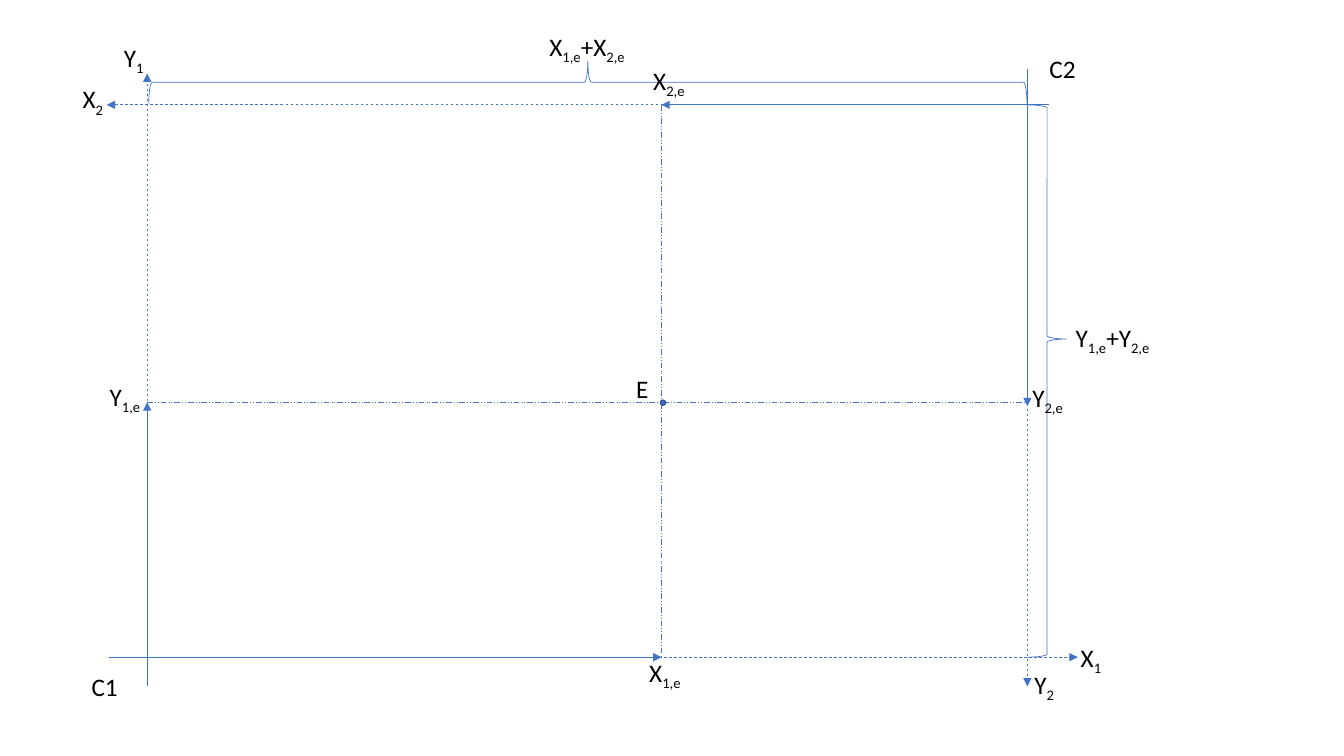
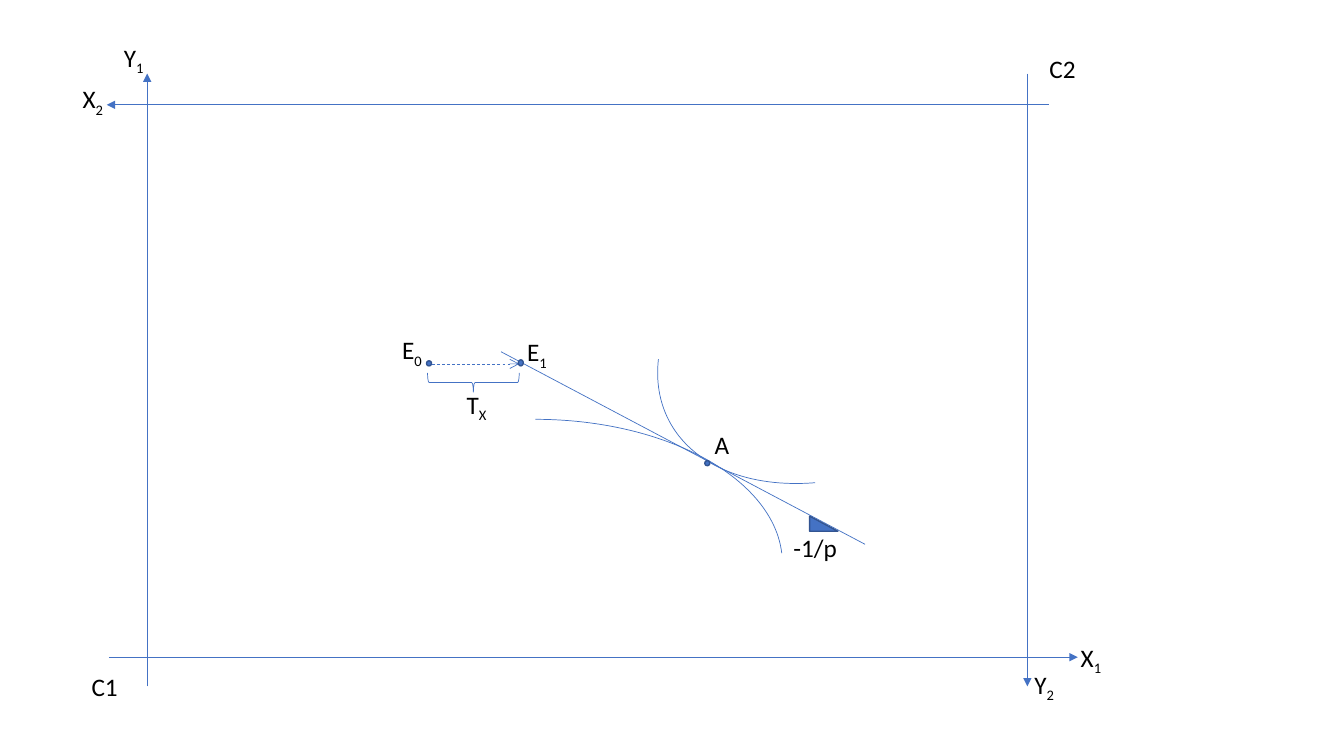
from pptx import Presentation, util as u
from pptx.dml.color import RGBColor
from pptx.enum import dml, shapes, text
from pptx.oxml.ns import qn
from lxml import etree

COLOURS = {"line": "4472C4", "edge": "325491", "text": "000000"}
FONT, SIZE, LABEL_HEIGHT, DOT = "Calibri", 18, 0.4, 0.05
KIND = shapes.MSO_SHAPE
DASH = dml.MSO_LINE.DASH
DOTTED = dml.MSO_LINE.DASH_DOT_DOT

# Columns and rows of the box, and the point E inside it
LEFT, RIGHT, TOP, BOTTOM = 1.46, 10.19, 1.04, 6.52
E_COL, E_ROW = 6.56, 3.99

# Axes: start, end
AXES = [
    ((LEFT, 6.81), (LEFT, 0.73)),
    ((1.08, BOTTOM), (10.69, BOTTOM)),
    ((10.4, TOP), (1.06, TOP)),
    ((RIGHT, 0.73), (RIGHT, 6.81)),
]
# Labels: text with subscripts after every other bar, left, top, width
AXIS_LABELS = [
    ("C2", 10.31, 0.48, 0.46), ("C1", 0.81, 6.61, 0.46),
    ("X|1", 10.62, 6.32, 0.42), ("X|2", 0.72, 0.78, 0.42),
    ("Y|2", 10.16, 6.59, 0.41), ("Y|1", 1.13, 0.37, 0.42),
]

# Lines: start, end, dash, arrowhead
# Outlines and solids: kind, left, top, width, height, turn, adjustments
PAGES = [
    {
        "axis_dash": DASH,
        "outlines": [
            (KIND.RIGHT_BRACE, RIGHT, TOP, 0.39, BOTTOM - TOP, 0, (0.083, 0.424)),
            (KIND.LEFT_BRACE, 5.62, -3.54, 0.42, 8.71, 90, ()),
        ],
        "lines": [
            ((10.4, TOP), (E_COL, TOP), None, "triangle"),
            ((1.08, BOTTOM), (E_COL, BOTTOM), None, "triangle"),
            ((RIGHT, 0.68), (RIGHT, 4.03), None, "triangle"),
            ((LEFT, 6.79), (LEFT, E_ROW), None, "triangle"),
            ((LEFT, E_ROW), (RIGHT, E_ROW), DOTTED, None),
            ((E_COL, TOP), (E_COL, BOTTOM), DOTTED, None),
        ],
        "solids": [(KIND.OVAL, 6.55, 3.97, DOT, DOT, 0, ())],
        "labels": [
            ("E", 6.21, 3.65, 0.32),
            ("X|2,e", 6.38, 0.6, 0.55), ("X|1,e", 6.34, 6.47, 0.55),
            ("Y|1,e", 0.99, 3.73, 0.54), ("Y|2,e", 10.14, 3.74, 0.54),
        ],
        "sums": [
            ("Y|1,e|+Y|2,e", 10.57, 3.15, 1.08),
            ("X|1,e|+X|2,e", 5.35, 0.26, 1.08),
        ],
    },
    {
        "axis_dash": None,
        "outlines": [
            (KIND.ARC, 2.86, 4.16, 4.9, 2.85, 0, (162, 214.643)),
            (KIND.ARC, 6.4, 1.78, 4.22, 2.85, 152.9, (187.265, 10.106)),
            (KIND.LEFT_BRACE, 4.6, 3.34, 0.19, 0.91, 270, ()),
        ],
        "lines": [
            ((4.97, 3.49), (8.58, 5.4), None, None),
            ((4.24, 3.61), (5.15, 3.61), DASH, "arrow"),
        ],
        "solids": [
            (KIND.OVAL, 6.99, 4.57, DOT, DOT, 0, ()),
            (KIND.OVAL, 5.14, 3.57, DOT, 0.06, 0, ()),
            (KIND.OVAL, 4.23, 3.58, DOT, DOT, 0, ()),
            (KIND.RIGHT_TRIANGLE, 8.03, 5.12, 0.28, 0.15, 0, ()),
        ],
        "labels": [
            ("A", 6.99, 4.21, 0.35), ("E|1", 5.13, 3.29, 0.41),
            ("-1/p", 7.77, 5.23, 0.64), ("E|0", 3.89, 3.27, 0.41),
            ("T|X", 4.53, 3.81, 0.41),
        ],
        "sums": [],
    },
]


def inches(*lengths):
    """Turn plain numbers into slide lengths."""
    return [u.Inches(length) for length in lengths]


def colour(name):
    """Look up a colour of the palette."""
    return RGBColor.from_string(COLOURS[name])


def add_line(page, start, end, dash=None, head=None):
    """Draw a thin straight line with an optional dash and arrowhead."""
    line = page.shapes.add_connector(
        shapes.MSO_CONNECTOR.STRAIGHT, *inches(*start, *end))
    line.line.color.rgb = colour("line")
    line.line.width = u.Pt(0.5)
    if dash is not None:
        line.line.dash_style = dash
    properties = line._element.spPr
    if head:
        outline = properties.find(qn("a:ln"))
        etree.SubElement(outline, qn("a:tailEnd"), type=head)
    etree.SubElement(properties, qn("a:effectLst"))


def add_figure(page, figure, solid):
    """Draw a preset shape, either filled or as a thin outline."""
    kind, left, top, width, height, turn, adjustments = figure
    shape = page.shapes.add_shape(kind, *inches(left, top, width, height))
    shape.shadow.inherit = False
    shape.rotation = turn
    for index, value in enumerate(adjustments):
        shape.adjustments[index] = value
    if solid:
        shape.fill.solid()
        shape.fill.fore_color.rgb = colour("line")
    else:
        shape.fill.background()
    shape.line.color.rgb = colour("edge" if solid else "line")
    shape.line.width = u.Pt(1 if solid else 0.5)


def add_label(page, label, wrap=False):
    """Write a label, lowering every second part as a subscript."""
    words, left, top, width = label
    box = page.shapes.add_textbox(*inches(left, top, width, LABEL_HEIGHT))
    frame = box.text_frame
    frame.word_wrap = wrap
    frame.auto_size = text.MSO_AUTO_SIZE.SHAPE_TO_FIT_TEXT
    para = frame.paragraphs[0]
    for index, part in enumerate(words.split("|")):
        span = para.add_run()
        span.text = part
        span.font.name = FONT
        span.font.size = u.Pt(SIZE)
        span.font.color.rgb = colour("text")
        if index % 2:
            span.font._element.set("baseline", "-25000")


def add_page(deck, content):
    """Build one diagram on the shared axes."""
    page = deck.slides.add_slide(deck.slide_layouts[6])
    for start, end in AXES:
        add_line(page, start, end, content["axis_dash"], "triangle")
    for figure in content["outlines"]:
        add_figure(page, figure, solid=False)
    for line in content["lines"]:
        add_line(page, *line)
    for figure in content["solids"]:
        add_figure(page, figure, solid=True)
    for label in AXIS_LABELS + content["labels"]:
        add_label(page, label)
    for label in content["sums"]:
        add_label(page, label, wrap=True)


deck = Presentation()
deck.slide_width, deck.slide_height = inches(13.33, 7.5)
for content in PAGES:
    add_page(deck, content)
deck.save("out.pptx")
